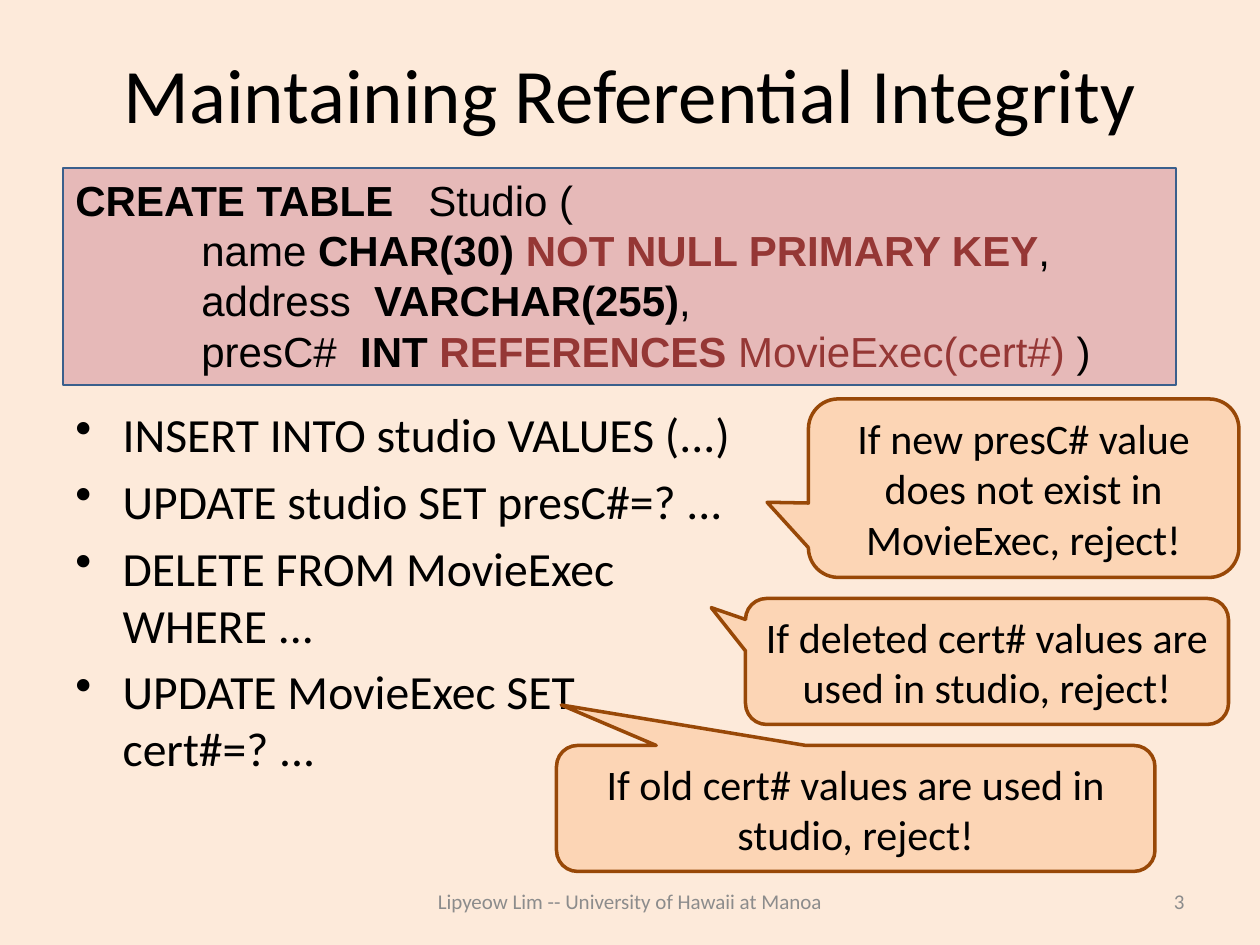
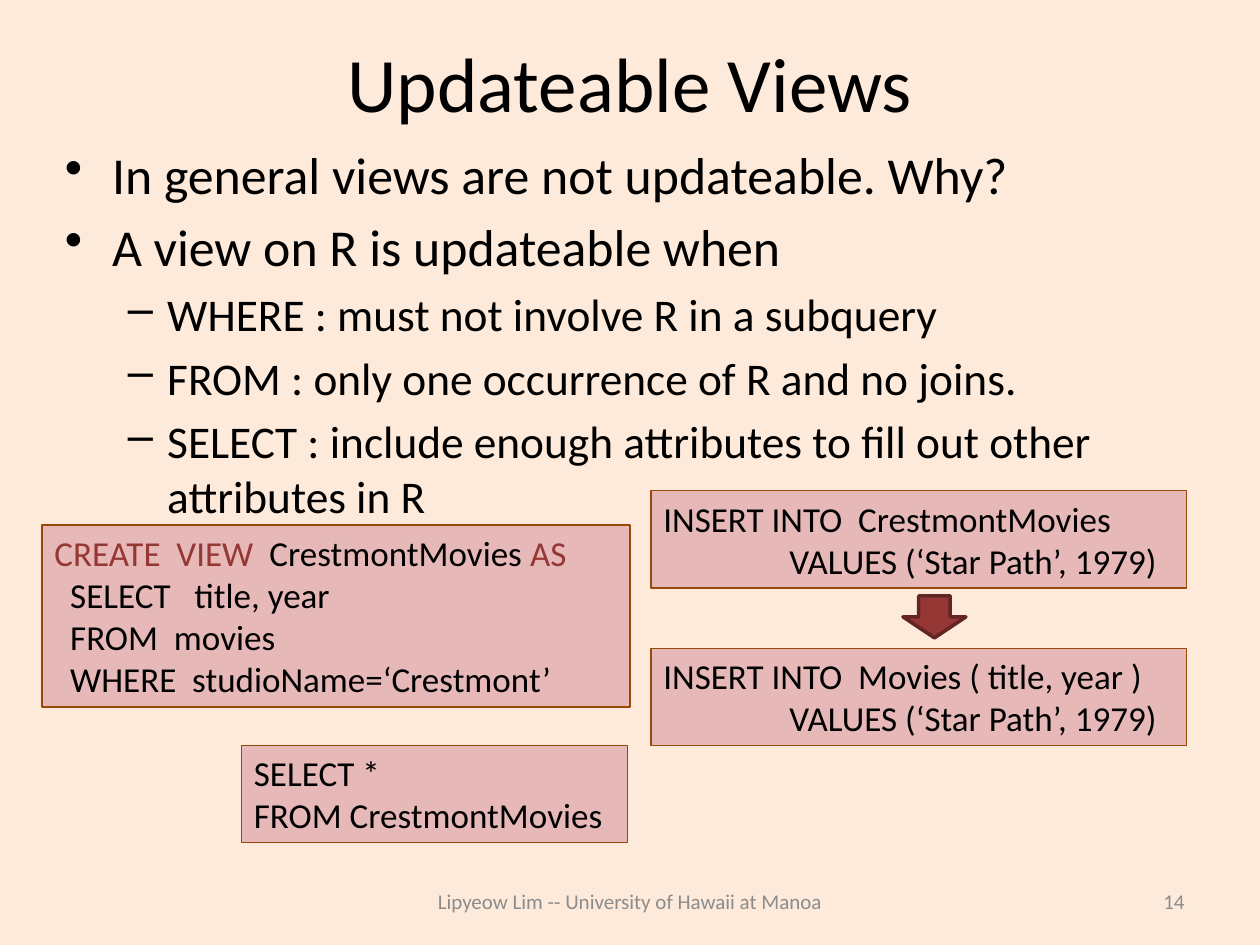
from pptx import Presentation
from pptx.util import Pt
from pptx.dml.color import RGBColor
from pptx.enum import shapes, text
from pptx.oxml.ns import qn
from lxml import etree

PAPER, PINK, PEACH = "FDEADA", "E6B9B8", "FCD5B5"
BROWN, RED, WINE, BLUE = "984807", "953735", "632523", "3A5F8C"
BLACK, GRAY = "000000", "8C8C8C"
FOOT = "Lipyeow Lim -- University of Hawaii at Manoa"
KIND = shapes.MSO_SHAPE
LEFT, MID, RIGHT = text.PP_ALIGN.LEFT, text.PP_ALIGN.CENTER, text.PP_ALIGN.RIGHT
LEVELS = [("•", 27, -27), ("–", 58.5, -22.5)]

KEYS = [
    (0, [("CREATE TABLE   ", BLACK, True), ("Studio (", BLACK, False)]),
    (72, [("name ", BLACK, False), ("CHAR(30) ", BLACK, True),
          ("NOT NULL PRIMARY KEY", RED, True), (",", BLACK, False)]),
    (72, [("address  ", BLACK, False), ("VARCHAR(255)", BLACK, True),
          (",", BLACK, False)]),
    (72, [("presC#  ", BLACK, False), ("INT ", BLACK, True),
          ("REFERENCES ", RED, True), ("MovieExec(cert#) ", RED, False),
          (")", BLACK, False)]),
]
VIEW = [
    (0, [("CREATE  VIEW  ", RED, False), ("CrestmontMovies ", BLACK, False),
         ("AS", RED, False)]),
    (9, "SELECT   title, year"),
    (9, "FROM  movies"),
    (9, "WHERE  studioName=‘Crestmont’"),
]
ROW = (72, "VALUES (‘Star Path’, 1979)")

PAGES = [
    dict(
        title="Maintaining Referential Integrity", high=62.4, num="3",
        body=(36, 228, 408, 254), sizes=(27.2,),
        items=[(0, "INSERT INTO studio VALUES (...)"),
               (0, "UPDATE studio SET presC#=? ..."),
               (0, "DELETE FROM MovieExec WHERE ..."),
               (0, "UPDATE MovieExec SET cert#=? ...")],
        codes=[((36, 96, 636, 124), BLUE, "Arial", 24, KEYS)],
        notes=[((462, 228, 246, 102), (-0.596, 0.079),
                "If new presC# value does not exist in MovieExec, reject!"),
               ((426, 342, 276, 72), (-0.571, -0.427),
                "If deleted cert# values are used in studio, reject!"),
               ((318, 426, 342, 72), (-0.492, -0.821),
                "If old cert# values are used in studio, reject!")],
        arrows=[]),
    dict(
        title="Updateable Views", high=50.4, num="14",
        body=(30, 78, 648, 210), sizes=(29.6, 25.9),
        items=[(0, "In general views are not updateable. Why?"),
               (0, "A view on R is updateable when"),
               (1, "WHERE : must not involve R in a subquery"),
               (1, "FROM : only one occurrence of R and no joins."),
               (1, "SELECT : include enough attributes to fill out other "
                   "attributes in R")],
        codes=[((24, 300, 336, 104), BROWN, "Calibri", 20, VIEW),
               ((372, 280.5, 306, 55.5), BROWN, "Calibri", 20,
                [(0, "INSERT INTO  CrestmontMovies"), ROW]),
               ((372, 370.5, 306, 55.5), BROWN, "Calibri", 20,
                [(0, "INSERT INTO  Movies ( title, year )"), ROW]),
               ((138, 426, 220.5, 55.5), BROWN, "Calibri", 20,
                [(0, "SELECT *"), (0, "FROM CrestmontMovies")])],
        notes=[],
        arrows=[(516, 340.5, 36, 24)]),
]


def color(code):
    return RGBColor.from_string(code)


def frame(shape, anchor):
    area = shape.text_frame
    area.word_wrap = True
    area.vertical_anchor = anchor
    return area


def label(slide, box, anchor=text.MSO_ANCHOR.MIDDLE):
    return frame(slide.shapes.add_textbox(*map(Pt, box)), anchor)


def style(para, size, tint=BLACK, face="Calibri", align=LEFT):
    para.alignment = align
    para.font.size = Pt(size)
    para.font.name = face
    if tint:
        para.font.color.rgb = color(tint)


def line(area, words, *look):
    para = area.paragraphs[0]
    para.text = words
    style(para, *look)


def indent(para, left, first=0):
    props = para._p.get_or_add_pPr()
    props.set("marL", str(Pt(left)))
    props.set("indent", str(Pt(first)))
    return props


def rows(area, items):
    for at, item in enumerate(items):
        yield area.paragraphs[0] if at == 0 else area.add_paragraph(), item


def bullets(slide, page):
    area = label(slide, page["body"], text.MSO_ANCHOR.TOP)
    for para, (level, words) in rows(area, page["items"]):
        mark, left, first = LEVELS[level]
        size = page["sizes"][level]
        para.text = words
        para.level = level
        para.space_before = Pt(round(size * 0.2, 1))
        style(para, size)
        props = indent(para, left, first)
        bullet = etree.Element(qn("a:buChar"), char=mark)
        props.find(qn("a:defRPr")).addprevious(bullet)


def block(slide, kind, box, fill, edge, width):
    shape = slide.shapes.add_shape(kind, *map(Pt, box))
    shape.shadow.inherit = False
    shape.fill.solid()
    shape.fill.fore_color.rgb = color(fill)
    shape.line.color.rgb = color(edge)
    shape.line.width = Pt(width)
    return shape


def code(slide, box, edge, face, size, lines):
    shape = block(slide, KIND.RECTANGLE, box, PINK, edge, 0.75)
    area = frame(shape, text.MSO_ANCHOR.TOP)
    for para, (left, parts) in rows(area, lines):
        style(para, size, None, face)
        indent(para, left)
        if isinstance(parts, str):
            parts = [(parts, BLACK, False)]
        for words, tint, bold in parts:
            run = para.add_run()
            run.text = words
            run.font.color.rgb = color(tint)
            run.font.bold = bold


def note(slide, box, tip, words):
    shape = block(slide, KIND.ROUNDED_RECTANGULAR_CALLOUT, box,
                  PEACH, BROWN, 2)
    for at, value in enumerate((*tip, 0.167)):
        shape.adjustments[at] = value
    line(frame(shape, text.MSO_ANCHOR.MIDDLE), words,
         24, BLACK, "Calibri", MID)


def build(deck, page):
    slide = deck.slides.add_slide(deck.slide_layouts[6])
    slide.background.fill.solid()
    slide.background.fill.fore_color.rgb = color(PAPER)
    line(label(slide, (36, 21.6, 648, page["high"])), page["title"],
         44, BLACK, "Calibri", MID)
    bullets(slide, page)
    line(label(slide, (216, 500.5, 288, 28.8)), FOOT,
         12, GRAY, "Calibri", MID)
    line(label(slide, (516, 500.5, 168, 28.8)), page["num"],
         12, GRAY, "Calibri", RIGHT)
    for item in page["codes"]:
        code(slide, *item)
    for item in page["notes"]:
        note(slide, *item)
    for box in page["arrows"]:
        block(slide, KIND.DOWN_ARROW, box, RED, WINE, 2)


deck = Presentation()
deck.slide_width, deck.slide_height = Pt(720), Pt(540)
for page in PAGES:
    build(deck, page)
deck.save("out.pptx")
